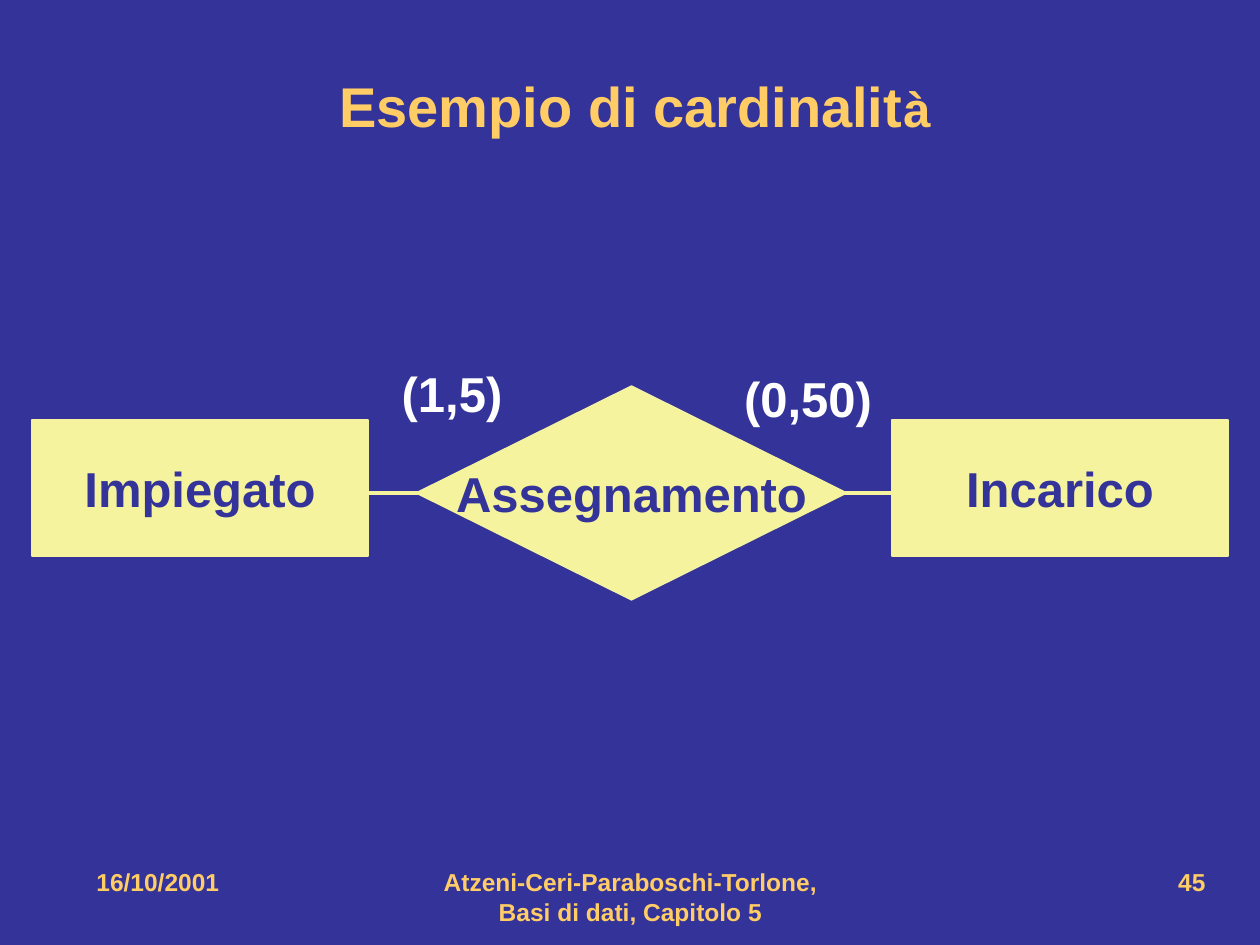
from pptx import Presentation
from pptx.dml.color import RGBColor
from pptx.enum.shapes import MSO_CONNECTOR, MSO_SHAPE
from pptx.enum.text import MSO_ANCHOR, MSO_AUTO_SIZE, PP_ALIGN
from pptx.oxml import parse_xml
from pptx.oxml.ns import nsdecls
from pptx.util import Pt

LEFT, CENTER, RIGHT = PP_ALIGN.LEFT, PP_ALIGN.CENTER, PP_ALIGN.RIGHT
TOP, MIDDLE = MSO_ANCHOR.TOP, MSO_ANCHOR.MIDDLE
RECTANGLE, DIAMOND = MSO_SHAPE.RECTANGLE, MSO_SHAPE.DIAMOND
GROW = MSO_AUTO_SIZE.SHAPE_TO_FIT_TEXT

PX = 914400 // 126
SLIDE_SIZE = (1260, 945)
TITLE_BOX = (63, 32, 1144, 147)

THEME = {
    "font": "Arial",
    "background": RGBColor.from_string("333399"),
    "accent": RGBColor.from_string("FFCC66"),
    "diagram": RGBColor.from_string("F5F39D"),
    "label": RGBColor.from_string("FFFFFF"),
    "title_size": 32,
    "body_size": 28,
    "footer_size": 14,
    "outline": 0.75,
    "link": 2.25,
}

TITLE = (("Esempio di cardinalit", THEME["title_size"]),
         ("à", THEME["body_size"]))

# text, outline, (left, top, width, height)
NODES = (
    ("Assegnamento", DIAMOND, (416, 386, 431, 214)),
    ("Impiegato", RECTANGLE, (32, 420, 336, 136)),
    ("Incarico", RECTANGLE, (892, 420, 336, 136)),
)
LINK = (346, 493, 924, 493)

# text, (left, top, width, height)
CARDINALITIES = (
    ("(1,5)", (386, 357, 132, 72)),
    ("(0,50)", (728, 362, 160, 72)),
)

# text, left, width, alignment
FOOTER_TOP, FOOTER_HEIGHT = 861, 63
FOOTERS = (
    ("Atzeni-Ceri-Paraboschi-Torlone, Basi di dati, Capitolo 5", 431, 399, CENTER),
    ("45", 903, 315, RIGHT),
    ("16/10/2001", 84, 273, LEFT),
)


def emu(*lengths):
    return [length * PX for length in lengths]


def write(shape, runs, color, align=CENTER, anchor=MIDDLE, wrap=False):
    """Fill the shape with one paragraph of (text, size) runs."""
    frame = shape.text_frame
    frame.word_wrap, frame.vertical_anchor = wrap, anchor
    paragraph = frame.paragraphs[0]
    paragraph.alignment = align
    for text, size in runs:
        run = paragraph.add_run()
        run.text = text
        run.font.color.rgb = color
        style = {"name": THEME["font"], "size": Pt(size), "bold": True}
        for attribute, value in style.items():
            setattr(run.font, attribute, value)


def add_link(shapes):
    link = shapes.add_connector(MSO_CONNECTOR.STRAIGHT, *emu(*LINK))
    link.line.color.rgb = THEME["diagram"]
    link.line.width = Pt(THEME["link"])
    link._element.spPr.append(parse_xml(f"<a:effectLst {nsdecls('a')}/>"))


def add_node(shapes, text, outline, box):
    node = shapes.add_shape(outline, *emu(*box))
    node.shadow.inherit = False
    node.fill.solid()
    node.fill.fore_color.rgb = THEME["diagram"]
    node.line.color.rgb = THEME["diagram"]
    node.line.width = Pt(THEME["outline"])
    write(node, [(text, THEME["body_size"])], THEME["background"])


def main():
    deck = Presentation()
    deck.slide_width, deck.slide_height = emu(*SLIDE_SIZE)
    slide = deck.slides.add_slide(deck.slide_layouts[5])
    slide.background.fill.solid()
    slide.background.fill.fore_color.rgb = THEME["background"]
    shapes = slide.shapes

    title = shapes.title
    title.left, title.top, title.width, title.height = emu(*TITLE_BOX)
    write(title, TITLE, THEME["accent"], wrap=True)

    add_link(shapes)
    for node in NODES:
        add_node(shapes, *node)

    for text, box in CARDINALITIES:
        cardinality = shapes.add_textbox(*emu(*box))
        write(cardinality, [(text, THEME["body_size"])], THEME["label"])
        cardinality.text_frame.auto_size = GROW

    for text, left, width, align in FOOTERS:
        footer = shapes.add_textbox(*emu(left, FOOTER_TOP, width, FOOTER_HEIGHT))
        write(footer, [(text, THEME["footer_size"])], THEME["accent"],
              align, TOP, wrap=True)

    deck.save("out.pptx")


if __name__ == "__main__":
    main()
